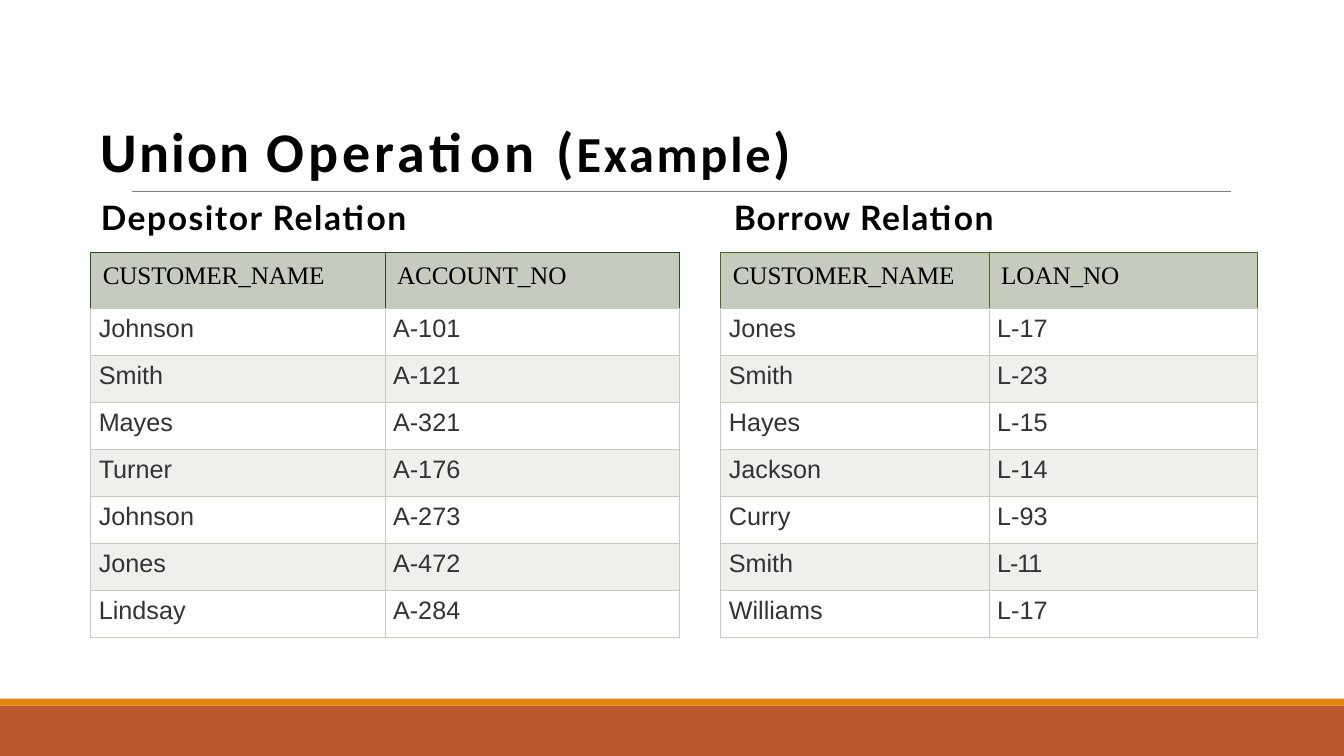
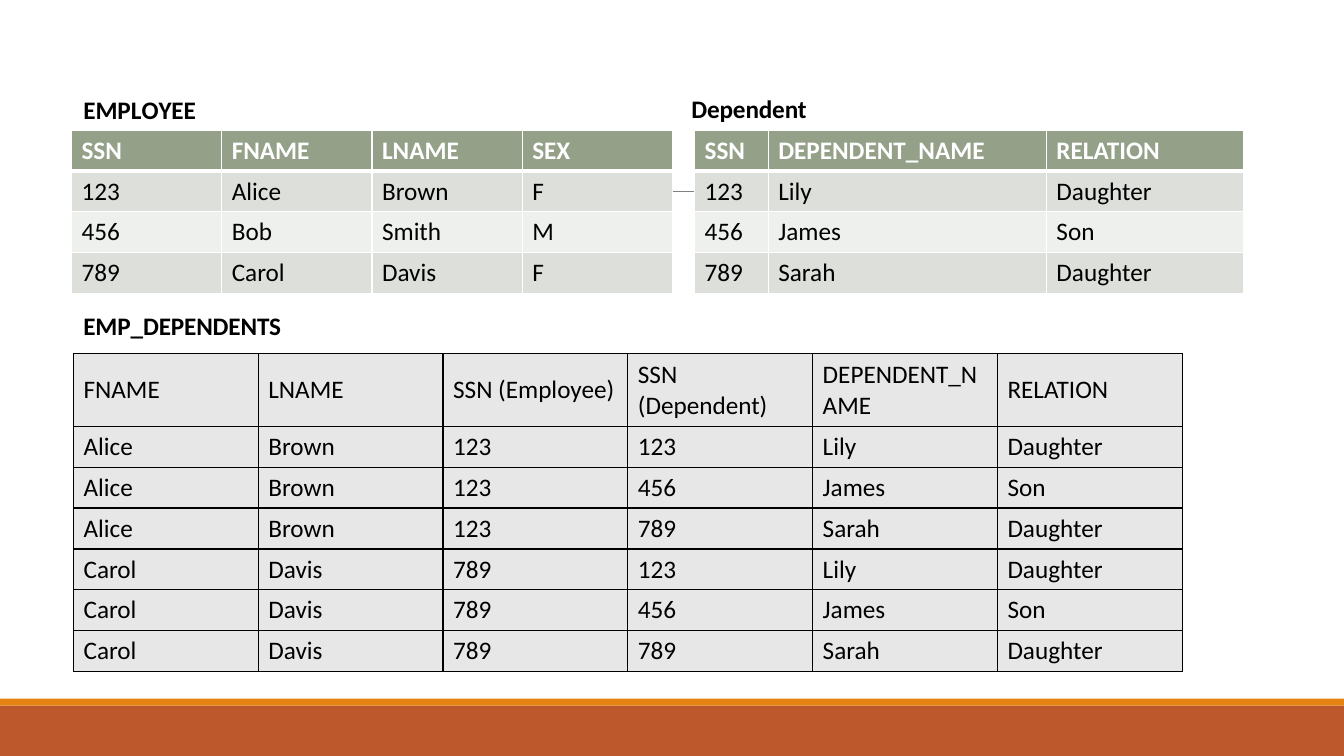
from itertools import product

from lxml import etree
from pptx import Presentation
from pptx.dml.color import RGBColor
from pptx.enum.shapes import MSO_CONNECTOR, MSO_SHAPE
from pptx.enum.text import MSO_ANCHOR, MSO_AUTO_SIZE, PP_ALIGN
from pptx.oxml.ns import qn
from pptx.util import Inches, Pt

RECT, STRAIGHT = MSO_SHAPE.RECTANGLE, MSO_CONNECTOR.STRAIGHT
TOP, MIDDLE, BOTTOM = MSO_ANCHOR.TOP, MSO_ANCHOR.MIDDLE, MSO_ANCHOR.BOTTOM
LEFT, NO_FIT = PP_ALIGN.LEFT, MSO_AUTO_SIZE.NONE
TITLE_ONLY, BLANK = 5, 6


class Theme:
    rust, orange, rule = "BD582C", "E48312", "808080"
    black, white, ink = "000000", "FFFFFF", "333333"
    sage, sage_tint = "C6CCBD", "EEF0EB"
    olive, olive_mid, olive_tint = "94A088", "DCDFDA", "EEF0ED"
    moss, fern, grey = "2F4728", "506228", "E7E7E7"
    title_size, example_size, heading_size, table_size = 40, 36, 24, 18
    body, heading, serif, sans = "Calibri", "Lato", "Times New Roman", "Arial"


# Table looks: header and body rows; edges are (colour, points) by side
sage_edges = dict.fromkeys("LRTB", (Theme.sage, 0.75))
white_edges = dict.fromkeys("LRTB", (Theme.white, 1))
sage_look = {
    "header": dict(fills=[Theme.sage], font=Theme.serif, color=Theme.black, bold=False,
                   spacing=-0.1, anchor=TOP, margins=(0.12, 0.1, 0, 0)),
    "body": dict(fills=[Theme.white, Theme.sage_tint], font=Theme.sans, color=Theme.ink,
                 bold=False, spacing=0, anchor=TOP, margins=(0.08, 0.06, 0, 0),
                 edges=sage_edges),
}
olive_body = dict(fills=[Theme.olive_mid, Theme.olive_tint], font=Theme.body,
                  color=Theme.black, bold=False, spacing=0, anchor=MIDDLE,
                  margins=(0.1, 0.05, 0.1, 0.05), edges=white_edges)
olive_look = {
    "header": olive_body | dict(fills=[Theme.olive], color=Theme.white, bold=True,
                                edges=white_edges | {"B": (Theme.white, 3)}),
    "body": olive_body,
}
grey_row = olive_body | dict(fills=[Theme.grey],
                             edges=dict.fromkeys("LRTB", (Theme.black, 1)))
grey_look = {"header": grey_row, "body": grey_row}
tight_spacing = {"L-11": -0.8}

prs = Presentation()
prs.slide_width, prs.slide_height = Inches(13.33), Inches(7.5)
# Grid of 100 columns by 100 rows
COL, ROW = prs.slide_width / 100, prs.slide_height / 100


def write(frame, runs, font, color, bold, anchor, margins):
    """Fill a text frame or cell; runs are (text, size, letter spacing)."""
    frame.margin_left, frame.margin_top, frame.margin_right, frame.margin_bottom = map(Inches, margins)
    frame.vertical_anchor = anchor
    paragraph = getattr(frame, "text_frame", frame).paragraphs[0]
    paragraph.alignment = LEFT
    for text, size, spacing in runs:
        run = paragraph.add_run()
        run.text = text
        run.font.name, run.font.size, run.font.bold = font, Pt(size), bold
        run.font.color.rgb = RGBColor.from_string(color)
        if spacing:
            run._r.get_or_add_rPr().set("spc", str(round(spacing * 100)))


def add_relation(slide, left, top, widths, heights, rows, look):
    """Draw a relation as a table, its first row being the attribute names."""
    table = slide.shapes.add_table(
        len(rows), len(widths), int(left * COL), int(top * ROW),
        int(sum(widths) * COL), int(sum(heights) * ROW)).table
    table.first_row = table.horz_banding = False
    for column, width in zip(table.columns, widths):
        column.width = int(width * COL)
    for row, height in zip(table.rows, heights):
        row.height = int(height * ROW)
    for r, values in enumerate(rows):
        style = look["body" if r else "header"]
        for c, value in enumerate(values):
            cell = table.cell(r, c)
            spacing = tight_spacing.get(value, style["spacing"])
            write(cell, [(value, Theme.table_size, spacing)], style["font"],
                  style["color"], style["bold"], style["anchor"], style["margins"])
            properties = cell._tc.get_or_add_tcPr()
            for side, (color, points) in style["edges"].items():
                edge = etree.SubElement(properties, qn(f"a:ln{side}"), w=str(Pt(points)))
                solid = etree.SubElement(edge, qn("a:solidFill"))
                etree.SubElement(solid, qn("a:srgbClr"), val=color)
            cell.fill.solid()
            cell.fill.fore_color.rgb = RGBColor.from_string(style["fills"][(r - 1) % len(style["fills"])])


# Shared footer bands and title rule
union_slide, join_slide = [
    prs.slides.add_slide(prs.slide_layouts[layout]) for layout in (TITLE_ONLY, BLANK)]
for slide in (union_slide, join_slide):
    for top, height, color in ((93.33, 6.67, Theme.rust), (92.4, 0.93, Theme.orange)):
        band = slide.shapes.add_shape(RECT, 0, int(top * ROW), prs.slide_width, int(height * ROW))
        band.shadow.inherit = False
        band.fill.solid()
        band.fill.fore_color.rgb = RGBColor.from_string(color)
        band.line.fill.background()
    rule = slide.shapes.add_connector(
        STRAIGHT, int(9.83 * COL), int(25.33 * ROW), int(91.57 * COL), int(25.33 * ROW))
    rule.line.color.rgb = RGBColor.from_string(Theme.rule)
    rule.line.width = Pt(0.5)
    etree.SubElement(rule.element.spPr, qn("a:effectLst"))

# Slide 1: title
title = union_slide.shapes.title
title.left, title.top = int(7.43 * COL), int(15.07 * ROW)
title.width, title.height = int(77.4 * COL), int(9.2 * ROW)
title.text_frame.auto_size = NO_FIT
write(title.text_frame,
      [("Union ", Theme.title_size, 1.5), ("Operation ", Theme.title_size, 3),
       ("(", Theme.title_size, 2), ("Example", Theme.example_size, 2),
       (")", Theme.title_size, 2)],
      Theme.body, Theme.black, True, BOTTOM, (0.01, 0.01, 0, 0))

# Slide 1: the two relations side by side
depositors = [("CUSTOMER_NAME", "ACCOUNT_NO"), ("Johnson", "A-101"), ("Smith", "A-121"),
              ("Mayes", "A-321"), ("Turner", "A-176"), ("Johnson", "A-273"),
              ("Jones", "A-472"), ("Lindsay", "A-284")]
borrowers = [("CUSTOMER_NAME", "LOAN_NO"), ("Jones", "L-17"), ("Smith", "L-23"),
             ("Hayes", "L-15"), ("Jackson", "L-14"), ("Curry", "L-93"),
             ("Smith", "L-11"), ("Williams", "L-17")]
for left, width, rows, header_edge in ((6.75, 21.9, depositors, Theme.moss),
                                       (53.63, 19.97, borrowers, Theme.fern)):
    header_edges = sage_edges | dict.fromkeys("LRT", (header_edge, 0.75))
    look = sage_look | {"header": sage_look["header"] | {"edges": header_edges}}
    add_relation(union_slide, left, 33.33, [width] * 2, [7.47] + [6.23] * 7, rows, look)

# Slide 2: operands and their combination
employees = [("SSN", "FNAME", "LNAME", "SEX"), ("123", "Alice", "Brown", "F"),
             ("456", "Bob", "Smith", "M"), ("789", "Carol", "Davis", "F")]
dependents = [("SSN", "DEPENDENT_NAME", "RELATION"), ("123", "Lily", "Daughter"),
              ("456", "James", "Son"), ("789", "Sarah", "Daughter")]
women = [(first, last, ssn) for ssn, first, last, sex in employees[1:] if sex == "F"]
emp_dependents = [("FNAME", "LNAME", "SSN (Employee)", "SSN (Dependent)",
                   "DEPENDENT_NAME", "RELATION")]
emp_dependents += [woman + dependent for woman, dependent in product(women, dependents[1:])]
add_relation(join_slide, 5.32, 17.2, [11.18] * 4, [5.4] * 4, employees, olive_look)
add_relation(join_slide, 51.68, 17.2, [5.48, 20.7, 14.7], [5.4] * 4, dependents, olive_look)
add_relation(join_slide, 5.47, 46.8, [13.75] * 6, [9.6] + [5.4] * 6, emp_dependents, grey_look)

# Relation names above the tables
union_name = (Theme.heading_size, Theme.heading, (0.01, 0.01, 0, 0))
join_name = (Theme.table_size, Theme.body, (0.1, 0.05, 0.1, 0.05))
for slide, (size, font, margins), left, top, width, height, parts in (
    (union_slide, union_name, 7.43, 25.87, 25.73, 5.6, [("Depositor Relation", 1.1)]),
    (union_slide, union_name, 54.53, 25.87, 22.73, 5.6, [("Borrow ", 0.7), ("Relation", 1.1)]),
    (join_slide, join_name, 5.47, 40.4, 49.95, 5.33, [("EMP_DEPENDENTS", -0.1)]),
    (join_slide, join_name, 5.47, 11.87, 21.38, 5.33,
     [("EMP", -0.1), ("L", -0.6), ("O", -0.7), ("YEE", -0.1)]),
    (join_slide, join_name, 50.7, 11.73, 21.38, 5.33, [("Dependent", -0.1)]),
):
    name_frame = slide.shapes.add_textbox(
        int(left * COL), int(top * ROW), int(width * COL), int(height * ROW)).text_frame
    name_frame.word_wrap = True
    write(name_frame, [(text, size, spacing) for text, spacing in parts],
          font, Theme.black, True, TOP, margins)

prs.save("out.pptx")
